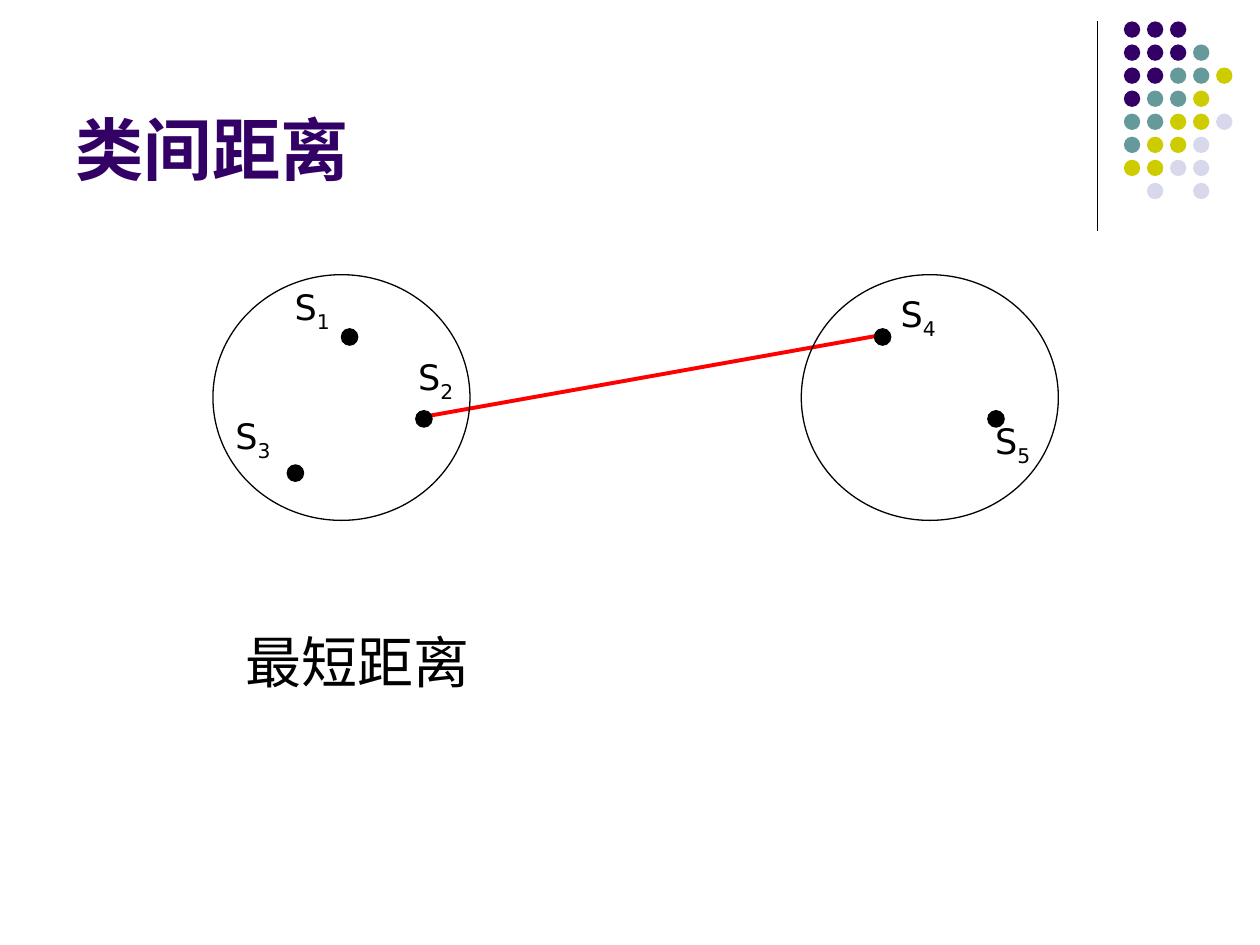
import pptx
import pptx.dml.color
import pptx.enum.shapes
import pptx.enum.text
import pptx.oxml.ns
import pptx.util
from lxml import etree

Inches = pptx.util.Inches
Pt = pptx.util.Pt

COLORS = {
    "purple": "330066",
    "teal": "669999",
    "olive": "CCCC00",
    "lavender": "D8D8EC",
    "black": "000000",
    "red": "FF0000",
}

DOT_SIZE = 0.13
DOT_PITCH = 0.183
DOT_ROWS = ["PPP", "PPPT", "PPTTO", "PTTO", "TTOOL", "TOOL", "OOLL", " L L"]
DOT_COLORS = {"P": "purple", "T": "teal", "O": "olive", "L": "lavender"}

CLUSTERS = [(1.69, 2.18), (6.36, 2.18)]

# index: (point left, point top, label left, label top)
SAMPLES = {
    "1": (2.71, 2.61, 2.24, 2.22),
    "2": (3.3, 3.26, 3.22, 2.77),
    "3": (2.28, 3.69, 1.77, 3.24),
    "4": (6.94, 2.61, 7.05, 2.27),
    "5": (7.84, 3.26, 7.8, 3.28),
}


def rgb(name):
    return pptx.dml.color.RGBColor.from_string(COLORS[name])


def add_ellipse(page, left, top, width, height, fill=None, line=None):
    shape = page.shapes.add_shape(
        pptx.enum.shapes.MSO_SHAPE.OVAL,
        Inches(left), Inches(top), Inches(width), Inches(height))
    shape.shadow.inherit = False
    if fill:
        shape.fill.solid()
        shape.fill.fore_color.rgb = rgb(fill)
    else:
        shape.fill.background()
    if line:
        shape.line.color.rgb = rgb(line)
        shape.line.width = Pt(0.75)
    else:
        shape.line.fill.background()


def add_line(page, start, end, color, width):
    line = page.shapes.add_connector(
        pptx.enum.shapes.MSO_CONNECTOR.STRAIGHT,
        *[Inches(value) for value in start + end])
    line.line.color.rgb = rgb(color)
    line.line.width = Pt(width)
    etree.SubElement(line._element.spPr, pptx.oxml.ns.qn("a:effectLst"))


def format_span(span, font, size, color, bold=False):
    span.font.name = font
    span.font.size = Pt(size)
    span.font.bold = bold
    span.font.color.rgb = rgb(color)


def add_text(page, left, top, width, height, text, size, subscript=None):
    box = page.shapes.add_textbox(
        Inches(left), Inches(top), Inches(width), Inches(height))
    box.text_frame.word_wrap = True
    paragraph = box.text_frame.paragraphs[0]
    paragraph.add_run().text = text
    if subscript:
        span = paragraph.add_run()
        span.text = subscript
        span._r.get_or_add_rPr().set("baseline", "-25000")
    for span in paragraph.runs:
        format_span(span, "DejaVu Sans", size, "black")


def set_title(page, text):
    title = page.shapes.title
    title.left, title.top = Inches(0.5), Inches(0.13)
    title.width, title.height = Inches(8.25), Inches(1.42)
    frame = title.text_frame
    frame.text = text
    frame.vertical_anchor = pptx.enum.text.MSO_ANCHOR.BOTTOM
    paragraph = frame.paragraphs[0]
    paragraph.alignment = pptx.enum.text.PP_ALIGN.LEFT
    format_span(paragraph.runs[0], "Arial", 39, "purple", bold=True)


def add_corner_dots(page):
    for row, codes in enumerate(DOT_ROWS):
        for column, code in enumerate(codes):
            if code in DOT_COLORS:
                add_ellipse(page, 8.92 + column * DOT_PITCH,
                            0.17 + row * DOT_PITCH,
                            DOT_SIZE, DOT_SIZE, DOT_COLORS[code])


def add_samples(page):
    for index, (left, top, label_left, label_top) in SAMPLES.items():
        add_ellipse(page, left, top, DOT_SIZE, DOT_SIZE, "black", "black")
        add_text(page, label_left, label_top, 0.63, 0.48, "S", 20, index)


def main():
    deck = pptx.Presentation()
    deck.slide_width, deck.slide_height = Inches(10), Inches(7.5)
    page = deck.slides.add_slide(deck.slide_layouts[5])
    set_title(page, "类间距离")
    add_line(page, (8.71, 0.17), (8.71, 1.83), "black", 0.75)
    add_corner_dots(page)
    add_line(page, (3.35, 3.31), (6.99, 2.66), "red", 2.25)
    for left, top in CLUSTERS:
        add_ellipse(page, left, top, 2.04, 1.95, line="black")
    add_samples(page)
    add_text(page, 1.85, 4.93, 2.12, 0.64, "最短距离", 32)
    deck.save("out.pptx")


if __name__ == "__main__":
    main()
